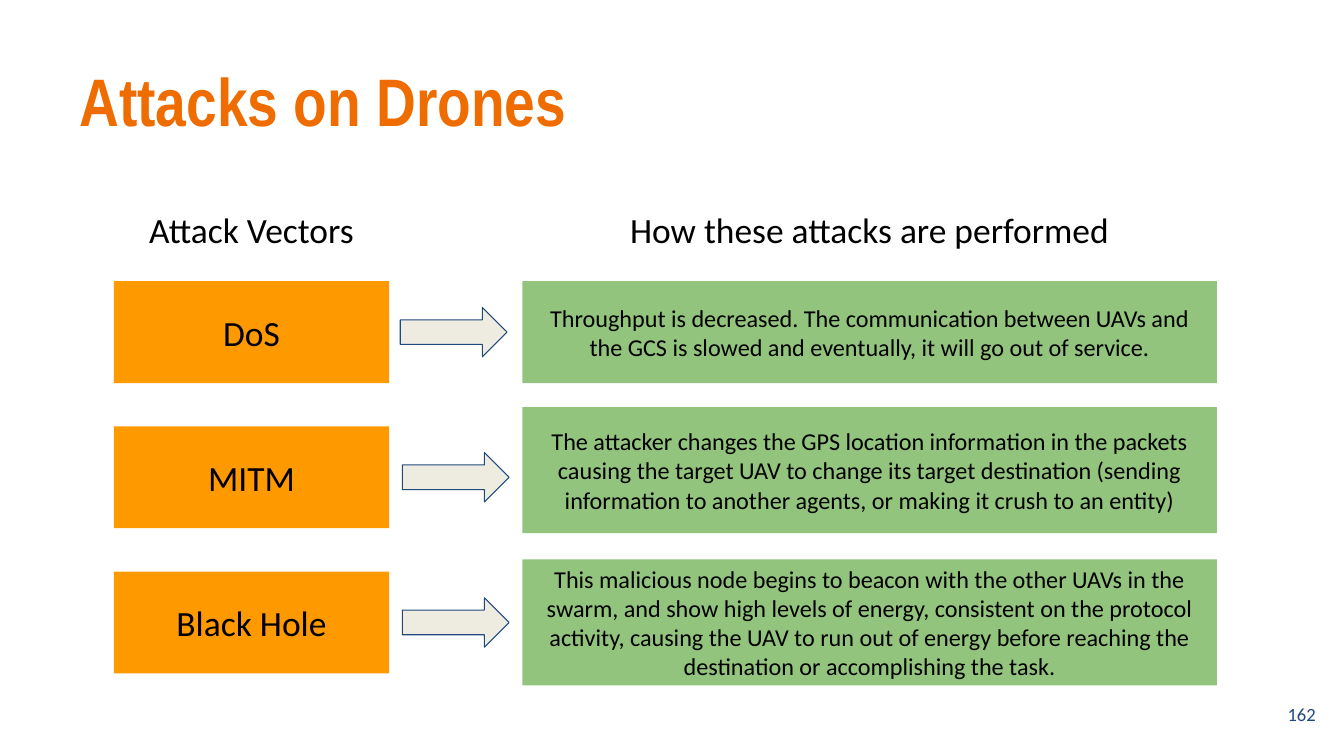
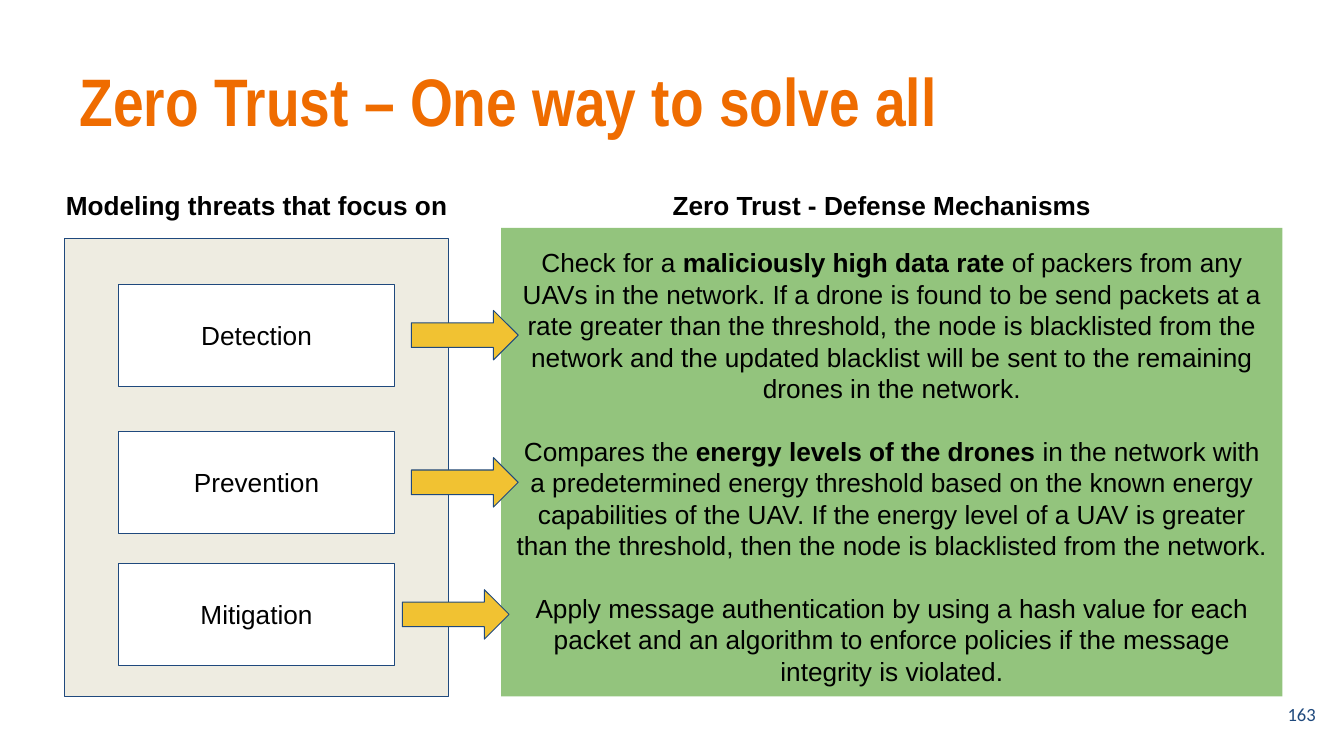
from dataclasses import dataclass

from pptx import Presentation
from pptx.dml.color import RGBColor
from pptx.enum.shapes import MSO_SHAPE
from pptx.enum.text import MSO_ANCHOR, MSO_AUTO_SIZE, PP_ALIGN
from pptx.util import Inches, Pt

# Content
ATTACKS = {
    "title": "Attacks on Drones",
    "page": "162",
    "headings": [("Attack Vectors", 0.31, 4.37),
                 ("How these attacks are performed", 5.61, 6.03)],
    # vector, arrow left, explanation, explanation top, explanation height
    "rows": [
        ("DoS", 3.97,
         "Throughput is decreased. The communication between UAVs and the GCS "
         "is slowed and eventually, it will go out of service.", 2.79, 1.01),
        ("MITM", 3.99,
         "The attacker changes the GPS location information in the packets "
         "causing the target UAV to change its target destination (sending "
         "information to another agents, or making it crush to an entity)",
         4.04, 1.25),
        ("Black Hole", 3.99,
         "This malicious node begins to beacon with the other UAVs in the "
         "swarm, and show high levels of energy, consistent on the protocol "
         "activity, causing the UAV to run out of energy before reaching the "
         "destination or accomplishing the task.", 5.55, 1.25),
    ],
}

ZERO_TRUST = {
    "title": "Zero Trust – One way to solve all",
    "page": "163",
    "headings": [("Modeling threats that focus on", 0.37, 4.35),
                 ("Zero Trust - Defense Mechanisms", 4.72, 8.05)],
    # goal, box top, arrow left
    "goals": [("Detection", 2.82, 4.08),
              ("Prevention", 4.28, 4.08),
              ("Mitigation", 5.59, 3.99)],
    # each paragraph is a list of (text, bold)
    "defenses": [
        [("Check for a ", False), ("maliciously high data rate", True),
         (" of packers from any UAVs in the network. If a drone is found to be "
          "send packets at a rate greater than the threshold, the node is "
          "blacklisted from the network and the updated blacklist will be sent "
          "to the remaining drones in the network.", False)],
        [("Compares the ", False), ("energy levels of the drones", True),
         (" in the network with a predetermined energy threshold based on the "
          "known energy capabilities of the UAV. If the energy level of a UAV "
          "is greater than the threshold, then the node is blacklisted from "
          "the network.", False)],
        [("Apply message authentication by using a hash value for each packet "
          "and an algorithm to enforce policies if the message integrity is "
          "violated.", False)],
    ],
}


@dataclass(frozen=True)
class Theme:
    title: str = "EF6C00"
    text: str = "000000"
    navy: str = "1F497D"
    orange: str = "FF9900"
    green: str = "93C47D"
    beige: str = "EEECE1"
    gold: str = "F1C232"
    white: str = "FFFFFF"
    title_font: str = "Arial Narrow"
    calibri: str = "Calibri"
    arial: str = "Arial"
    title_size: float = 48
    large: float = 25.3
    medium: float = 18.7
    small: float = 17.3
    page_size: float = 13.3


T = Theme()
BOX_W, BOX_H = 2.73, 1.01
ARROW_W, ARROW_H = 1.06, 0.49


def write(shape, paragraphs, font, size, color=T.text, bold=None,
          align=PP_ALIGN.CENTER, anchor=MSO_ANCHOR.MIDDLE, inset=0.13, gap=0):
    """Fill a shape with paragraphs, each a list of (text, bold) runs."""
    tf = shape.text_frame
    tf.word_wrap = True
    tf.auto_size = MSO_AUTO_SIZE.NONE
    tf.vertical_anchor = anchor
    tf.margin_left = tf.margin_right = Inches(inset)
    tf.margin_top = tf.margin_bottom = Inches(inset)
    for i, runs in enumerate(paragraphs):
        p = tf.add_paragraph() if i else tf.paragraphs[0]
        p.alignment = align
        p.space_before = Pt(gap if i else 0)
        p.font.name, p.font.size, p.font.bold = font, Pt(size), bold
        p.font.color.rgb = RGBColor.from_string(color)
        for text, strong in runs:
            r = p.add_run()
            r.text = text
            if strong:
                r.font.bold = True


def add_box(s, left, top, width, height, fill, line=None,
            kind=MSO_SHAPE.RECTANGLE):
    sp = s.shapes.add_shape(kind, Inches(left), Inches(top),
                            Inches(width), Inches(height))
    sp.shadow.inherit = False
    sp.fill.solid()
    sp.fill.fore_color.rgb = RGBColor.from_string(fill)
    if line:
        sp.line.color.rgb = RGBColor.from_string(line)
        sp.line.width = Pt(0.75)
    else:
        sp.line.fill.background()
    return sp


def add_arrow(s, left, box_top, fill):
    """Arrow centred on the height of the box it starts from."""
    add_box(s, left, box_top + (BOX_H - ARROW_H) / 2, ARROW_W, ARROW_H,
            fill, T.navy, MSO_SHAPE.RIGHT_ARROW)


def add_text(s, text, left, top, width, height, font, size, **style):
    sp = s.shapes.add_textbox(Inches(left), Inches(top),
                              Inches(width), Inches(height))
    write(sp, [[(text, False)]], font, size, **style)


def add_slide(prs, content):
    """Slide with the shared title and page number."""
    s = prs.slides.add_slide(prs.slide_layouts[5])
    title = s.shapes.title
    title.left, title.top = Inches(0.66), Inches(0.46)
    title.width, title.height = Inches(12.22), Inches(0.81)
    write(title, [[(content["title"], False)]], T.title_font, T.title_size,
          T.title, bold=True, align=PP_ALIGN.LEFT, anchor=MSO_ANCHOR.TOP)
    add_text(s, content["page"], 12.35, 6.8, 0.8, 0.57, T.calibri, T.page_size,
             color=T.navy, align=PP_ALIGN.RIGHT, inset=0.1)
    return s


def add_headings(s, content, top, height, font, size, bold=None):
    for text, left, width in content["headings"]:
        add_text(s, text, left, top, width, height, font, size,
                 bold=bold, anchor=MSO_ANCHOR.TOP)


def build_attacks(prs):
    s = add_slide(prs, ATTACKS)
    add_headings(s, ATTACKS, 1.93, 0.7, T.calibri, T.large)
    for i, (vector, arrow_left, how, how_top, how_h) in enumerate(ATTACKS["rows"]):
        top = 2.79 + 1.44 * i
        write(add_box(s, 1.13, top, BOX_W, BOX_H, T.orange),
              [[(vector, False)]], T.calibri, T.large)
        write(add_box(s, 5.18, how_top, 6.89, how_h, T.green),
              [[(how, False)]], T.calibri, T.small)
        add_arrow(s, arrow_left, top, T.beige)


def build_zero_trust(prs):
    s = add_slide(prs, ZERO_TRUST)
    add_headings(s, ZERO_TRUST, 1.75, 0.58, T.arial, T.medium, bold=True)
    # Panels behind the goals and the defenses
    add_box(s, 0.64, 2.37, 3.81, 4.54, T.beige, T.navy)
    defenses = add_box(s, 4.97, 2.26, 7.75, 4.65, T.green)
    write(defenses, ZERO_TRUST["defenses"], T.arial, T.medium, gap=22.4)
    defenses.text_frame.margin_top = Inches(0.22)
    # Goals and their arrows
    for goal, top, arrow_left in ZERO_TRUST["goals"]:
        write(add_box(s, 1.18, top, BOX_W, BOX_H, T.white, T.navy),
              [[(goal, False)]], T.arial, T.medium)
        add_arrow(s, arrow_left, top, T.gold)


def main():
    prs = Presentation()
    prs.slide_width, prs.slide_height = Inches(13.33), Inches(7.5)
    build_attacks(prs)
    build_zero_trust(prs)
    prs.save("out.pptx")


if __name__ == "__main__":
    main()
